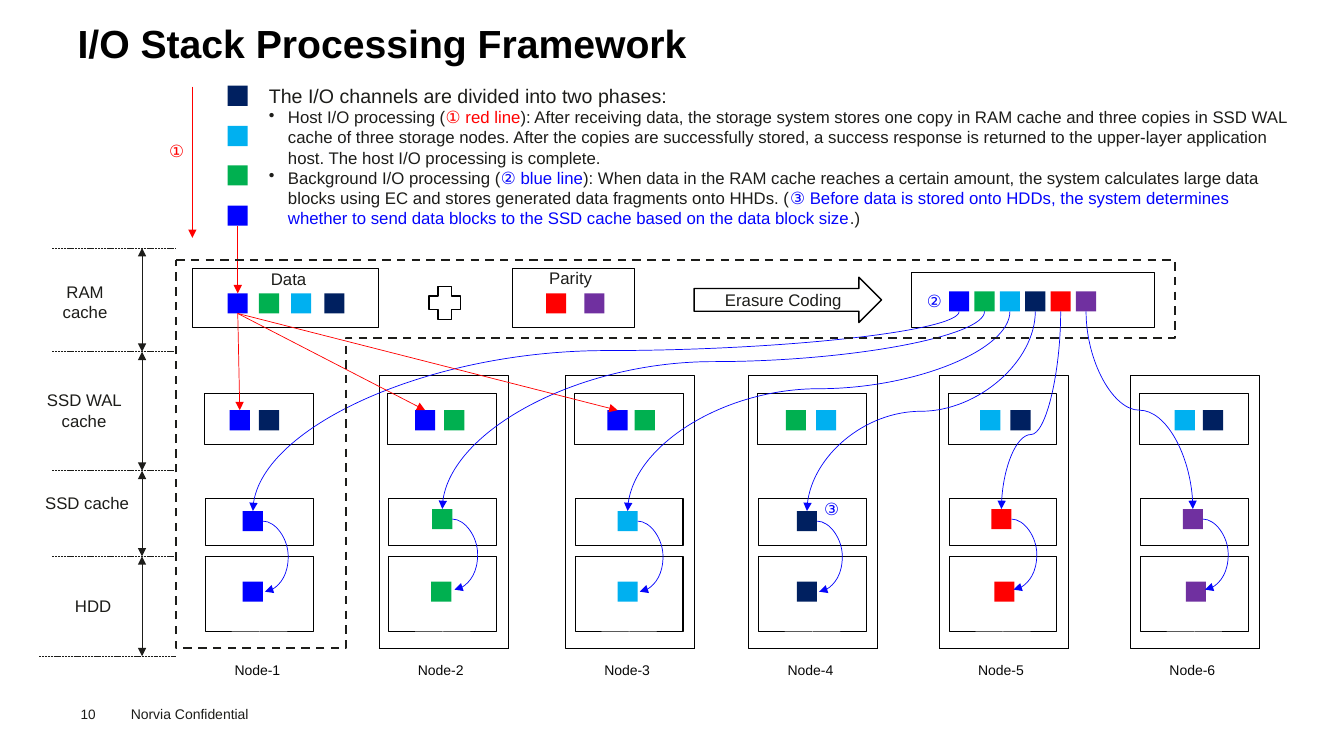
"""Build the I/O stack processing framework slide."""
from pptx import Presentation, util as u
from pptx.dml.color import RGBColor
from pptx.enum import dml, shapes, text
from pptx.oxml.ns import qn
from lxml import etree

SHAPE, CONNECTOR, DASH = shapes.MSO_SHAPE, shapes.MSO_CONNECTOR, dml.MSO_LINE
LEFT, CENTER = text.PP_ALIGN.LEFT, text.PP_ALIGN.CENTER
TOP, MIDDLE = text.MSO_ANCHOR.TOP, text.MSO_ANCHOR.MIDDLE
BLUE, GREEN, CYAN, NAVY = "0000FF", "00B050", "00B0F0", "002060"
RED, PURPLE, INK, BLACK, FLOW = "FF0000", "7030A0", "1D1D1A", "000000", "0505FB"
SIDE, PITCH = 0.2, 0.252
TIGHT, WIDE = (0, 0.04, 0, 0.04), (0.1, 0.05, 0.1, 0.05)

PHASES = [
    (14, False, [("The I/O channels are divided into two phases:", INK)]),
    (12, True, [
        ("Host I/O processing (", INK), ("① red line", RED),
        ("): After receiving data, the storage system stores one copy in RAM cache and three copies in "
         "SSD WAL cache of three storage nodes. After the copies are successfully stored, a success "
         "response is returned to the upper-layer application host. The host I/O processing is "
         "complete.", INK)]),
    (12, True, [
        ("Background I/O processing (", INK), ("② blue line", FLOW),
        ("): When data in the RAM cache reaches a certain amount, the system calculates large data "
         "blocks using EC and stores generated data fragments onto HHDs. (", INK),
        ("③ Before data is stored onto HDDs, the system determines whether to send data blocks to the "
         "SSD cache based on the data block size", FLOW), (".)", INK)]),
]
# name, left, WAL blocks, fragment colour, SSD x, SSD y, HDD x, flow bend
NODES = [
    ("Node-1", 1.94, [(2.28, BLUE), (2.57, NAVY)], BLUE, 2.41, 5.07, 2.41, 0.196),
    ("Node-2", 3.76, [(4.12, BLUE), (4.41, GREEN)], GREEN, 4.29, 5.05, 4.28, 0.254),
    ("Node-3", 5.61, [(6.03, BLUE), (6.3, GREEN)], CYAN, 6.13, 5.07, 6.13, 0.387),
    ("Node-4", 7.43, [(7.8, GREEN), (8.1, CYAN)], NAVY, 7.91, 5.07, 7.91, 0.5),
    ("Node-5", 9.32, [(9.73, CYAN), (10.03, NAVY)], RED, 9.84, 5.05, 9.87, 0.623),
    ("Node-6", 11.22, [(11.66, CYAN), (11.94, NAVY)], PURPLE, 11.74, 5.05, 11.77, 0.5),
]
NODE_BOXES = [(0.09, 3.9, 1.08, 0.51), (0.1, 5.52, 1.07, 0.75), (0.1, 4.95, 1.07, 0.46)]
RAM_BOXES = [(9.05, 2.7, 2.41, 0.55), (5.09, 2.66, 1.21, 0.59), (1.91, 2.66, 1.85, 0.59)]
INCOMING = [(0.85, NAVY), (1.25, CYAN), (1.64, GREEN), (2.04, BLUE)]
RAM_BLOCKS = [(2.26, BLUE), (2.57, GREEN), (2.89, CYAN), (3.22, NAVY), (5.42, RED), (5.8, PURPLE)]
HOST_OUTLINE = [(1.75, 2.58), (11.66, 2.58), (11.66, 3.35), (3.43, 3.35), (3.43, 6.43), (1.75, 6.43)]
TIERS = [(0.52, 2.46), (0.52, 3.49), (0.52, 4.67), (0.52, 5.52), (0.39, 6.51)]
LABELS = [
    ("RAM cache", (0.43, 2.75, 0.83, 0.28), TOP, INK),
    ("SSD WAL cache", (0.37, 3.83, 0.93, 0.48), TOP, INK),
    ("SSD cache", (0.4, 4.85, 0.93, 0.48), TOP, INK),
    ("HDD", (0.46, 5.87, 0.93, 0.28), TOP, INK),
    ("Data", (2.4, 2.63, 0.93, 0.28), TOP, INK),
    ("Parity", (5.2, 2.62, 0.93, 0.28), TOP, INK),
    ("Erasure Coding", (6.91, 2.83, 1.73, 0.28), MIDDLE, INK),
    ("①", (1.56, 1.36, 0.39, 0.28), MIDDLE, RED),
    ("②", (9.08, 2.84, 0.39, 0.28), MIDDLE, FLOW),
    ("③", (8.06, 4.91, 0.39, 0.28), MIDDLE, FLOW),
    ("I/O Stack Processing Framework", (0.77, 0.14, 12.29, 0.53), TOP, BLACK, 28, LEFT,
     (0, 0.05, 0.1, 0.05), True),
    ("10", (0.8, 7, 0.55, 0.16), TOP, INK, 9.7, LEFT, (0, 0, 0, 0)),
    ("Norvia Confidential", (1.2, 6.95, 1.6, 0.27), TOP, INK, 10, LEFT, WIDE),
]


def inches(values):
    return [u.Inches(value) for value in values]


def style_line(line, hex_string, width, dash=None):
    line.color.rgb = RGBColor.from_string(hex_string)
    line.width, line.dash_style = u.Pt(width), dash


def style_shape(shape, fill=None, line=None):
    shape.shadow.inherit = False
    shape.fill.background()
    shape.line.fill.background()
    if fill:
        shape.fill.solid()
        shape.fill.fore_color.rgb = RGBColor.from_string(fill)
    if line:
        style_line(shape.line, *line)
    return shape


def add_box(box, fill=None, line=None, kind=SHAPE.RECTANGLE):
    return style_shape(slide.shapes.add_shape(kind, *inches(box)), fill, line)


def add_block(x, y, fill):
    return add_box((x, y, SIDE, SIDE), fill)


def style_run(run, size, hex_string, bold=False):
    run.font.name, run.font.size, run.font.bold = "Arial", u.Pt(size), bold
    run.font.color.rgb = RGBColor.from_string(hex_string)


def add_frame(box, anchor, insets):
    frame = slide.shapes.add_textbox(*inches(box)).text_frame
    frame.word_wrap, frame.vertical_anchor = True, anchor
    frame.margin_left, frame.margin_top, frame.margin_right, frame.margin_bottom = inches(insets)
    return frame


def add_label(words, box, anchor, hex_string, size=12, align=CENTER, insets=TIGHT, bold=False):
    frame = add_frame(box, anchor, insets)
    frame.text = words
    frame.paragraphs[0].alignment = align
    style_run(frame.paragraphs[0].runs[0], size, hex_string, bold)


def add_line(start, end, hex_string, ends=(), dash=None, kind=CONNECTOR.STRAIGHT):
    connector = slide.shapes.add_connector(kind, *inches(start + end))
    style_line(connector.line, hex_string, 0.5, dash)
    properties = connector.element.spPr
    for name in ends:
        etree.SubElement(properties.find(qn("a:ln")), qn("a:" + name), type="triangle")
    etree.SubElement(properties, qn("a:effectLst"))
    return connector


def add_curve(start, end, bend, rotation=0):
    properties = add_line(start, end, FLOW, ["tailEnd"], kind=CONNECTOR.CURVE).element.spPr
    properties.find(qn("a:xfrm")).set("rot", str(rotation * 60000))
    guides = properties.find(qn("a:prstGeom")).find(qn("a:avLst"))
    etree.SubElement(guides, qn("a:gd"), name="adj1", fmla=f"val {round(bend * 100000)}")


def add_drop(x1, y1, x2, y2, bend):
    x, y, half_w, half_h = (x1 + x2) / 2, (y1 + y2) / 2, (y2 - y1) / 2, abs(x2 - x1) / 2
    rotation = 90
    if x2 > x1:
        half_w, rotation = -half_w, 270
    add_curve((x - half_w, y - half_h), (x + half_w, y + half_h), bend, rotation)


def add_red_arrow(source, target):
    connector = add_line((0, 0), (1, 1), RED, ["tailEnd"])
    connector.begin_connect(source, 2)
    connector.end_connect(target, 0)


presentation = Presentation()
presentation.slide_width, presentation.slide_height = u.Inches(13.34), u.Inches(7.5)
slide = presentation.slides.add_slide(presentation.slide_layouts[6])

phase_frame = add_frame((2.57, 0.41, 10.33, 2.27), MIDDLE, WIDE)
for index, (size, bulleted, runs) in enumerate(PHASES):
    paragraph = phase_frame.add_paragraph() if index else phase_frame.paragraphs[0]
    if bulleted:
        properties = paragraph._p.get_or_add_pPr()
        properties.set("marL", str(u.Inches(0.19)))
        properties.set("indent", str(u.Inches(-0.19)))
        etree.SubElement(properties, qn("a:buChar"), char="•")
    for words, hex_string in runs:
        run = paragraph.add_run()
        run.text = words
        style_run(run, size, hex_string)

for box in RAM_BOXES:
    add_box(box, "FFFFFF", (BLACK, 0.75))
incoming = [add_block(2.26, y, fill) for y, fill in INCOMING]
ram = [add_block(x, 2.91, fill) for x, fill in RAM_BLOCKS]
plus = add_box((4.2, 2.78, 0.43, 0.45), None, (BLACK, 1), SHAPE.MATH_PLUS)
plus.adjustments[0] = 0.31
add_box((6.89, 2.75, 1.86, 0.45), None, (BLACK, 1), SHAPE.RIGHT_ARROW)

wal_copies = []
for index, (name, left, wal, fill, ssd_x, ssd_y, hdd_x, bend) in enumerate(NODES):
    if index:
        add_box((left, 3.72, 1.28, 2.71), "FFFFFF", (BLACK, 0.25, DASH.ROUND_DOT))
    for offset, *rest in NODE_BOXES:
        add_box((left + offset, *rest), "FFFFFF", (BLACK, 0.75))
    add_label(name, (left + 0.29, 6.51, 0.83, 0.27), TOP, "080808", 10, LEFT, WIDE)
    wal_copies.append([add_block(x, 4.07, block) for x, block in wal][0])
    for x, y in [(ssd_x, ssd_y), (hdd_x, 5.77), (9.42 + index * PITCH, 2.89)]:
        add_block(x, y, fill)
for index, (*_, ssd_x, ssd_y, hdd_x, bend) in enumerate(NODES):
    add_drop(9.52 + index * PITCH, 3.09, ssd_x + SIDE / 2, ssd_y, bend)
    x, y = ssd_x + SIDE, ssd_y + SIDE / 2
    add_curve((x, y), (x + 0.02, y + 0.7), 12.5)

add_line((1.91, 0.86), (1.91, 2.36), RED, ["tailEnd"])
add_red_arrow(incoming[-1], ram[0])
for wal_copy in wal_copies[:3]:
    add_red_arrow(ram[0], wal_copy)
for left, y in TIERS:
    add_line((left, y), (1.75, y), INK, dash=DASH.SQUARE_DOT)
for (_, upper), (_, lower) in zip(TIERS, TIERS[1:]):
    add_line((1.41, lower), (1.41, upper), INK, ["headEnd", "tailEnd"])
for label in LABELS:
    add_label(*label)
first, *others = [inches(point) for point in HOST_OUTLINE]
builder = slide.shapes.build_freeform(*first)
builder.add_line_segments(others, close=True)
style_shape(builder.convert_to_shape(), None, (INK, 1.5, DASH.DASH))
presentation.save("out.pptx")
